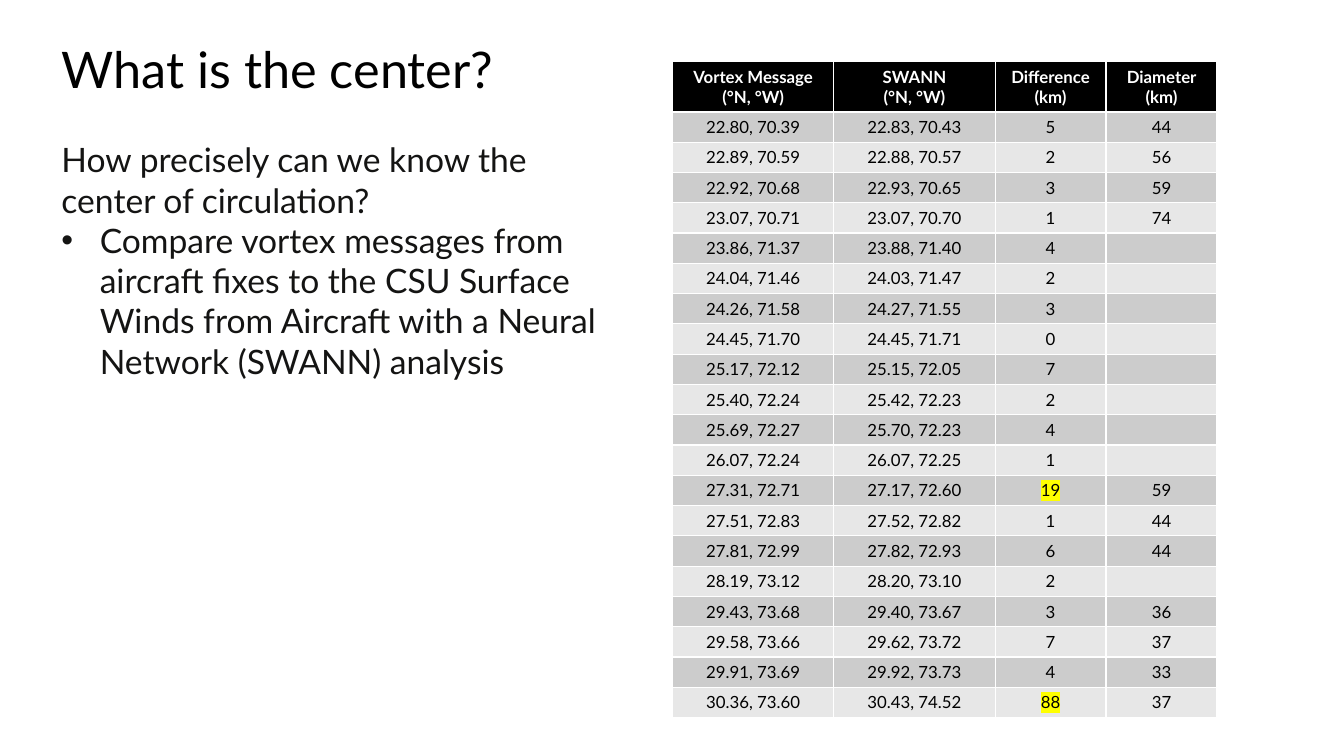
from lxml import etree
from pptx import Presentation
from pptx.dml.color import RGBColor
from pptx.enum.text import MSO_ANCHOR, MSO_AUTO_SIZE, PP_ALIGN
from pptx.oxml.ns import qn
from pptx.util import Inches, Pt

COLORS = {
    "title": "000000",
    "body": "141413",
    "header_fill": "000000",
    "header_text": "FFFFFF",
    "cell_text": "000000",
    "odd_row": "CCCCCC",
    "even_row": "E7E7E7",
    "highlight": "FFFF00",
}
HEADERS = ["Vortex Message (°N, °W)", "SWANN\n(°N, °W)", "Difference (km)", "Diameter (km)"]
FIXES = [
    ("22.80, 70.39", "22.83, 70.43", "5", "44"),
    ("22.89, 70.59", "22.88, 70.57", "2", "56"),
    ("22.92, 70.68", "22.93, 70.65", "3", "59"),
    ("23.07, 70.71", "23.07, 70.70", "1", "74"),
    ("23.86, 71.37", "23.88, 71.40", "4", ""),
    ("24.04, 71.46", "24.03, 71.47", "2", ""),
    ("24.26, 71.58", "24.27, 71.55", "3", ""),
    ("24.45, 71.70", "24.45, 71.71", "0", ""),
    ("25.17, 72.12", "25.15, 72.05", "7", ""),
    ("25.40, 72.24", "25.42, 72.23", "2", ""),
    ("25.69, 72.27", "25.70, 72.23", "4", ""),
    ("26.07, 72.24", "26.07, 72.25", "1", ""),
    ("27.31, 72.71", "27.17, 72.60", "19", "59"),
    ("27.51, 72.83", "27.52, 72.82", "1", "44"),
    ("27.81, 72.99", "27.82, 72.93", "6", "44"),
    ("28.19, 73.12", "28.20, 73.10", "2", ""),
    ("29.43, 73.68", "29.40, 73.67", "3", "36"),
    ("29.58, 73.66", "29.62, 73.72", "7", "37"),
    ("29.91, 73.69", "29.92, 73.73", "4", "33"),
    ("30.36, 73.60", "30.43, 74.52", "88", "37"),
]
COLUMN_WIDTHS = [1.6, 1.6, 1.1, 1.1]
HEADER_HEIGHT, ROW_HEIGHT = 0.5, 0.3
LARGE_DIFFERENCE = 10


def set_font(para, size, color, bold=False):
    para.font.name = "Lato"
    para.font.size = Pt(size)
    para.font.bold = bold
    para.font.color.rgb = RGBColor.from_string(COLORS[color])


def place(box, left, top, width, height):
    """Move a placeholder and let its text start at the top at full size."""
    box.left, box.top = Inches(left), Inches(top)
    box.width, box.height = Inches(width), Inches(height)
    box.text_frame.word_wrap = True
    box.text_frame.auto_size = MSO_AUTO_SIZE.NONE
    box.text_frame.vertical_anchor = MSO_ANCHOR.TOP


deck = Presentation()
deck.slide_width, deck.slide_height = Inches(13.33), Inches(7.5)
page = deck.slides.add_slide(deck.slide_layouts[1])

# Title
title = page.shapes.title
place(title, 0.51, 0.33, 5.82, 0.71)
title.text_frame.text = "What is the center?"
title_para = title.text_frame.paragraphs[0]
title_para.alignment = PP_ALIGN.LEFT
set_font(title_para, 36, "title")

# Question and its bullet
body = page.placeholders[1]
place(body, 0.51, 1.33, 5.52, 2.52)
body.text_frame.text = (
    "How precisely can we know the center of circulation?\n"
    "Compare vortex messages from aircraft fixes to the CSU Surface Winds "
    "from Aircraft with a Neural Network (SWANN) analysis"
)
for para, indent, bullet in zip(body.text_frame.paragraphs, (0, 0.38), (None, "•")):
    para.space_before = Pt(0)
    properties = para._p.get_or_add_pPr()
    properties.set("marL", str(Inches(indent)))
    properties.set("indent", str(-Inches(indent)))
    if bullet:
        etree.SubElement(properties, qn("a:buFont"), typeface="Arial")
        etree.SubElement(properties, qn("a:buChar"), char=bullet)
    else:
        etree.SubElement(properties, qn("a:buNone"))
    set_font(para, 24, "body")

# Table of fixes; the default table style supplies the white borders
table = page.shapes.add_table(
    len(FIXES) + 1, len(HEADERS), Inches(6.67), Inches(0.61),
    Inches(sum(COLUMN_WIDTHS)), Inches(HEADER_HEIGHT + ROW_HEIGHT * len(FIXES)),
).table
for column, width in zip(table.columns, COLUMN_WIDTHS):
    column.width = Inches(width)

for row_index, values in enumerate([HEADERS, *FIXES]):
    is_header = row_index == 0
    table.rows[row_index].height = Inches(HEADER_HEIGHT if is_header else ROW_HEIGHT)
    if is_header:
        fill, text_color = "header_fill", "header_text"
    else:
        fill, text_color = ("odd_row" if row_index % 2 else "even_row"), "cell_text"
    for column_index, value in enumerate(values):
        cell = table.cell(row_index, column_index)
        cell.fill.solid()
        cell.fill.fore_color.rgb = RGBColor.from_string(COLORS[fill])
        cell.text_frame.text = value
        for para in cell.text_frame.paragraphs:
            para.alignment = PP_ALIGN.CENTER
            set_font(para, 12, text_color, bold=is_header)
            if not value:
                # An empty cell takes its line height from the end mark
                etree.SubElement(para._p, qn("a:endParaRPr"), sz="1200")
        if not is_header and column_index == 2 and int(value) > LARGE_DIFFERENCE:
            span = cell.text_frame.paragraphs[0].runs[0]
            highlight = etree.SubElement(span._r.get_or_add_rPr(), qn("a:highlight"))
            etree.SubElement(highlight, qn("a:srgbClr"), val=COLORS["highlight"])

deck.save("out.pptx")
